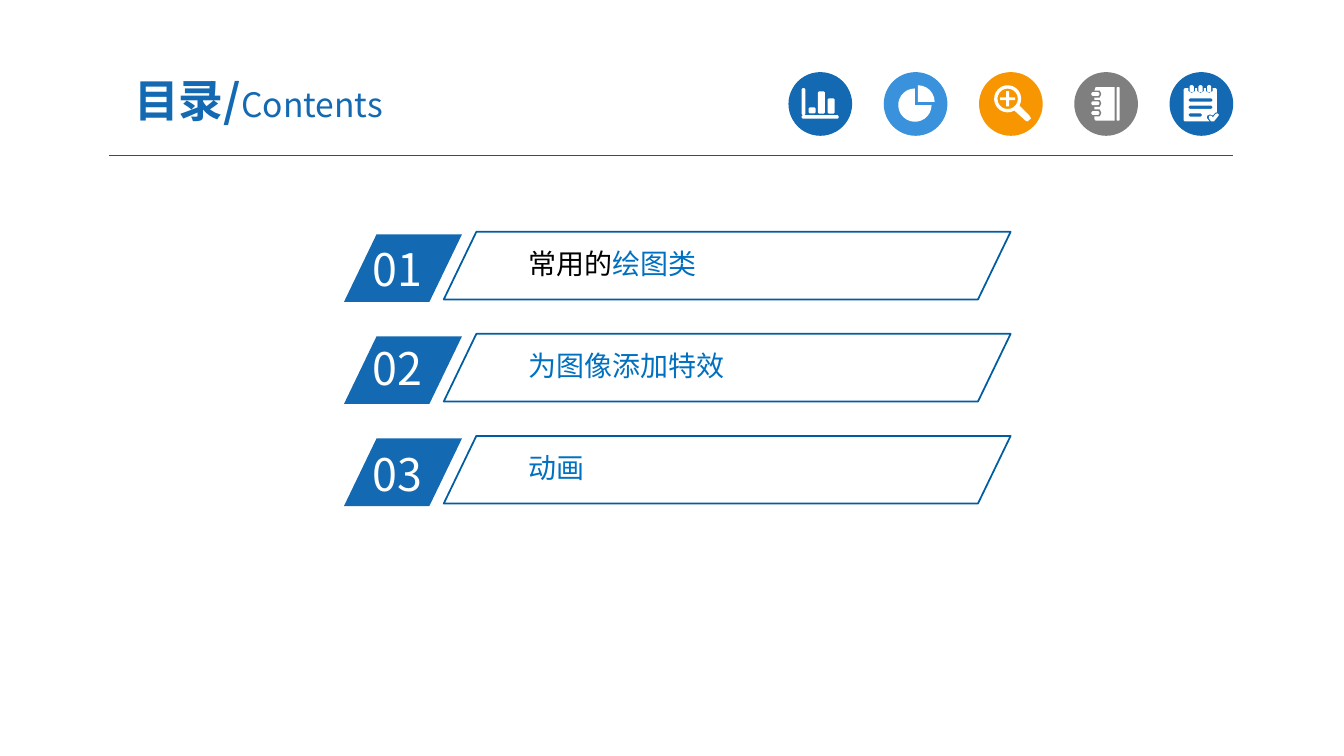
"""Build the contents slide: title, icon row and three numbered entries."""
from math import cos, radians, sin

from lxml import etree
from pptx import Presentation
from pptx.dml.color import RGBColor
from pptx.enum import shapes, text
from pptx.oxml.ns import qn
from pptx.util import Pt

FONT = "Noto Sans CJK SC"
C = {"blue": "1369B2", "sky": "3992DB", "orange": "F79600", "gray": "7F7F7F",
     "white": "FFFFFF", "black": "000000", "link": "0070C0",
     "frame": "005DA2", "rule": "005B9E"}
S = shapes.MSO_SHAPE

TITLE = [("目录/", 32, True), ("Contents", 24, False)]
ENTRIES = [
    ("01", 169.2, 173.3, [("常用的", "black"), ("绘图类", "link")]),
    ("02", 239.8, 245.8, [("为图像添加特效", "link")]),
    ("03", 315.4, 318.8, [("动画", "link")]),
]
RING_YS = (14.4, 21, 27.9)
RING_XS = (14.4, 20.7, 26.9)

ICON_X, ICON_Y, ICON_D, ICON_STEP = 563.2, 51.5, 45.5, 68.05
ROW_Y, ROW_STEP, ROW_H, SLANT = 165.6, 72.9, 48.3, 0.482


def bar(x, y, w, h, cut=0.8):
    r, b = x + w, y + h
    return [(x + cut, y), (r - cut, y), (r, y + cut), (r, b - cut),
            (r - cut, b), (x + cut, b), (x, b - cut), (x, y + cut)]


def arc(cx, cy, radius, start=0, end=360, steps=20):
    angles = [radians(start + (end - start) * i / steps) for i in range(steps + 1)]
    return [(cx + radius * cos(a), cy + radius * sin(a)) for a in angles]


def chart_icon():
    return [bar(9.4, 11.5, 2.7, 19.3), bar(9.4, 30.8, 26.5, 2.5),
            bar(14.4, 25.2, 5, 4.3), bar(21, 13.8, 5, 15.8),
            bar(28, 18.8, 5, 10.8)]


def pie_icon():
    return [arc(22.3, 23.6, 11.9, 0, 270) + [(22.3, 23.6)],
            arc(24.5, 21.3, 11.9, 270, 360, 6) + [(24.5, 21.3)]]


def lens_icon():
    handle = [(36, 31), (37.2, 33.1), (34.6, 35.3), (33.1, 34.6)]
    plus = [(19.5, 13.7), (21.5, 13.7), (21.5, 18.1), (25.9, 18.1),
            (25.9, 20.1), (21.5, 20.1), (21.5, 24.5), (19.5, 24.5),
            (19.5, 20.1), (15.1, 20.1), (15.1, 18.1), (19.5, 18.1)]
    return [arc(20.5, 19.1, 9.7, 60, 390) + handle, arc(20.5, 19.1, 7.3), plus]


def notebook_icon():
    cover = [(15.2, 10.8), (28.8, 10.8), (28.8, 34.6), (15.2, 34.6), (14.4, 33.6)]
    for y in reversed(RING_YS):
        cover += [(14.4, y + 3.8), (18.3, y + 3.8), (19.4, y + 1.3),
                  (18.3, y - 1.2), (14.4, y - 1.2)]
    return [cover, bar(30.2, 10.8, 2.2, 23.8, 0.4)] + [
        bar(12.2, y, 5.8, 2.6) for y in RING_YS]


def pad_icon():
    sheet = [(10.1, 12.5), (10.9, 11.5)]
    for x in RING_XS:
        sheet += [(x - 1, 11.5), (x - 1, 13.6), (x + 1.4, 15.1),
                  (x + 3.9, 13.6), (x + 3.9, 11.5)]
    sheet += [(33.1, 11.5), (33.9, 12.5), (33.9, 28.8), (32.6, 29.1),
              (31, 31), (28.8, 30.2), (26.9, 31.2), (26.6, 32.8),
              (28.6, 35.3), (10.9, 35.3), (10.1, 34.5)]
    tick = [(28.1, 31.9), (28.8, 31), (29.9, 31.3), (31, 32.4), (33, 29.9),
            (34.2, 29.5), (35.3, 30.6), (34.6, 31.7), (31.7, 35.3),
            (29.7, 35.3), (28.1, 33.1)]
    lines = [bar(13.7, y, w, 2.3) for y, w in ((18.9, 17), (24, 17), (29.5, 9.4))]
    return [sheet, tick] + lines + [bar(x, 9.4, 2.9, 5) for x in RING_XS]


ICONS = [("blue", chart_icon()), ("sky", pie_icon()), ("orange", lens_icon()),
         ("gray", notebook_icon()), ("blue", pad_icon())]


def rgb(name):
    return RGBColor.from_string(C[name])


def add_run(p, words, size=20, color="blue", bold=False):
    r = p.add_run()
    r.text = words
    f = r.font
    f.name, f.size, f.bold = FONT, Pt(size), bold
    f.color.rgb = rgb(color)
    etree.SubElement(r._r.get_or_add_rPr(), qn("a:ea")).set("typeface", FONT)


def paint(sp, fill=None, line=None):
    sp.shadow.inherit = False
    if fill:
        sp.fill.solid()
        sp.fill.fore_color.rgb = rgb(fill)
    else:
        sp.fill.background()
    if line:
        sp.line.color.rgb = rgb(line)
        sp.line.width = Pt(1.25)
    else:
        sp.line.fill.background()


def add_part(s, kind, x, y, w, h, adj=None, **colors):
    sp = s.shapes.add_shape(kind, Pt(x), Pt(y), Pt(w), Pt(h))
    if adj:
        sp.adjustments[0] = adj
    paint(sp, **colors)


def add_symbol(s, left, top, outlines):
    placed = [[(Pt(left + x), Pt(top + y)) for x, y in o] for o in outlines]
    fb = s.shapes.build_freeform(*placed[0][0])
    for i, points in enumerate(placed):
        if i:
            fb.move_to(*points[0])
        fb.add_line_segments(points[1:], close=True)
    paint(fb.convert_to_shape(), fill="white")


def set_margins(tf, side, top):
    tf.margin_left = tf.margin_right = Pt(side)
    tf.margin_top = tf.margin_bottom = Pt(top)
    tf.word_wrap = True


def add_text(s, x, y, w, h, runs, side=7.2, top=3.6, **fmt):
    tf = s.shapes.add_textbox(Pt(x), Pt(y), Pt(w), Pt(h)).text_frame
    set_margins(tf, side, top)
    for words, color in runs:
        add_run(tf.paragraphs[0], words, color=color, **fmt)


def add_title(s):
    sp = s.shapes.title
    sp.left, sp.top, sp.width, sp.height = Pt(66.2), Pt(45.4), Pt(236.9), Pt(51.8)
    tf = sp.text_frame
    set_margins(tf, 9.4, 5)
    tf.auto_size = text.MSO_AUTO_SIZE.NONE
    tf.vertical_anchor = text.MSO_ANCHOR.MIDDLE
    p = tf.paragraphs[0]
    p.alignment = text.PP_ALIGN.CENTER
    for words, size, bold in TITLE:
        add_run(p, words, size=size, bold=bold)


def main():
    prs = Presentation()
    prs.slide_width, prs.slide_height = Pt(960), Pt(540)
    s = prs.slides.add_slide(prs.slide_layouts[5])
    add_title(s)

    rule = s.shapes.add_connector(shapes.MSO_CONNECTOR.STRAIGHT,
                                  Pt(78), Pt(111.4), Pt(880.6), Pt(111.4))
    rule.line.color.rgb = rgb("rule")
    rule.line.width = Pt(0.75)
    etree.SubElement(rule._element.spPr, qn("a:effectLst"))

    for i, (color, outlines) in enumerate(ICONS):
        left = ICON_X + i * ICON_STEP
        add_part(s, S.OVAL, left, ICON_Y, ICON_D, ICON_D, fill=color)
        add_symbol(s, left, ICON_Y, outlines)

    for i, (number, number_y, label_y, label) in enumerate(ENTRIES):
        y = ROW_Y + i * ROW_STEP
        add_part(s, S.PARALLELOGRAM, 245.7, y + 1.8, 84.3, ROW_H, SLANT, fill="blue")
        add_text(s, 259.2, number_y, 80.6, 46, [(number, "white")], size=32)
        add_text(s, 372.2, label_y, 320, 29.5, label, side=5, top=2.9)
        add_part(s, S.PARALLELOGRAM, 317, y, 404.9, ROW_H, SLANT, line="frame")

    prs.save("out.pptx")


if __name__ == "__main__":
    main()
